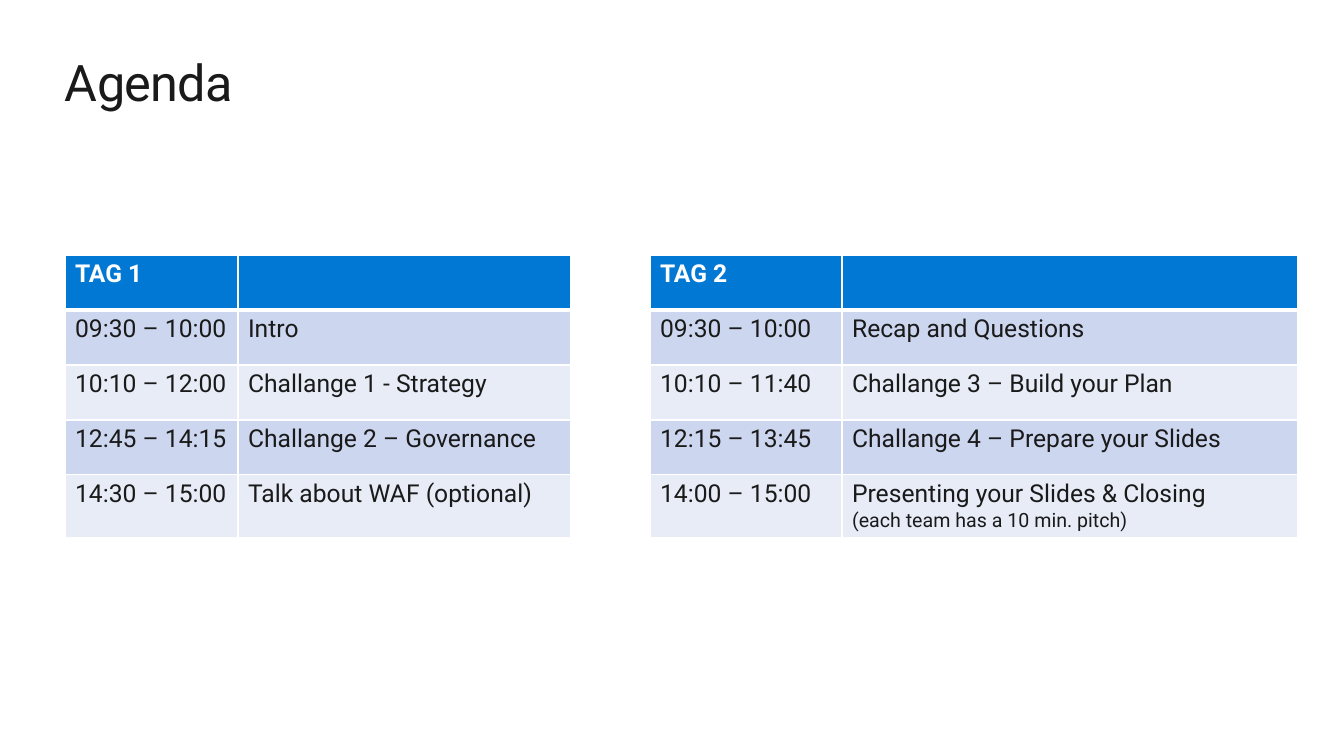
"""Build the two-day agenda slide."""
import pptx
import pptx.dml.color
import pptx.enum.text
import pptx.oxml
import pptx.oxml.ns
import pptx.util

PX = 914400 / 100.8
FONT = "Roboto"
INK, WHITE, BLUE = "1A1A1A", "FFFFFF", "0078D4"
BANDS = ("CCD6EF", "E7ECF7")
ROW_HEIGHTS = (55, 55, 55, 55, 63)

DAY_1 = [
    ("TAG 1", ""),
    ("09:30 – 10:00", "Intro"),
    ("10:10 – 12:00", "Challange 1 - Strategy"),
    ("12:45 – 14:15", "Challange 2 – Governance"),
    ("14:30 – 15:00", "Talk about WAF (optional)"),
]
DAY_2 = [
    ("TAG 2", ""),
    ("09:30 – 10:00", "Recap and Questions"),
    ("10:10 – 11:40", "Challange 3 – Build your Plan"),
    ("12:15 – 13:45", "Challange 4 – Prepare your Slides"),
    ("14:00 – 15:00", "Presenting your Slides & Closing\n(each team has a 10 min. pitch)"),
]


def px(n):
    return pptx.util.Emu(round(n * PX))


def rgb(value):
    return pptx.dml.color.RGBColor.from_string(value)


def style(p, size, color, bold=False):
    for r in p.runs:
        r.font.name = FONT
        r.font.size = pptx.util.Pt(size)
        r.font.bold = bold
        r.font.color.rgb = rgb(color)


def add_title(s, text):
    tb = s.shapes.add_textbox(px(65), px(50), px(1215), px(62))
    tf = tb.text_frame
    tf.word_wrap = True
    tf.margin_left = tf.margin_right = tf.margin_top = tf.margin_bottom = 0
    tf.vertical_anchor = pptx.enum.text.MSO_ANCHOR.BOTTOM
    tf.text = text
    p = tf.paragraphs[0]
    style(p, 36, INK)
    p.runs[0].font._element.set("spc", "-50")


def set_borders(cell, bottom):
    tc_pr = cell._tc.get_or_add_tcPr()
    for side, points in (("L", 1), ("R", 1), ("T", 1), ("B", bottom)):
        tc_pr.append(pptx.oxml.parse_xml(
            f'<a:ln{side} {pptx.oxml.ns.nsdecls("a")} w="{points * 12700}">'
            f'<a:solidFill><a:srgbClr val="{WHITE}"/></a:solidFill></a:ln{side}>'))


def fill_cell(cell, text, header, fill):
    set_borders(cell, 3 if header else 1)
    cell.fill.solid()
    cell.fill.fore_color.rgb = rgb(fill)
    cell.text_frame.text = text
    for i, p in enumerate(cell.text_frame.paragraphs):
        style(p, 14 if i else 17.6, WHITE if header else INK, header)


def add_schedule(s, left, widths, rows):
    frame = s.shapes.add_table(len(rows), len(widths), px(left), px(255),
                               px(sum(widths)), px(sum(ROW_HEIGHTS)))
    table = frame.table
    for column, width in zip(table.columns, widths):
        column.width = px(width)
    for i, texts in enumerate(rows):
        table.rows[i].height = px(ROW_HEIGHTS[i])
        fill = BANDS[(i - 1) % 2] if i else BLUE
        for j, text in enumerate(texts):
            fill_cell(table.cell(i, j), text, i == 0, fill)


def main():
    prs = pptx.Presentation()
    prs.slide_width, prs.slide_height = px(1344), px(756)
    s = prs.slides.add_slide(prs.slide_layouts[6])
    add_title(s, "Agenda")
    add_schedule(s, 65, (173, 333), DAY_1)
    add_schedule(s, 650, (192, 456), DAY_2)
    prs.save("out.pptx")


if __name__ == "__main__":
    main()
